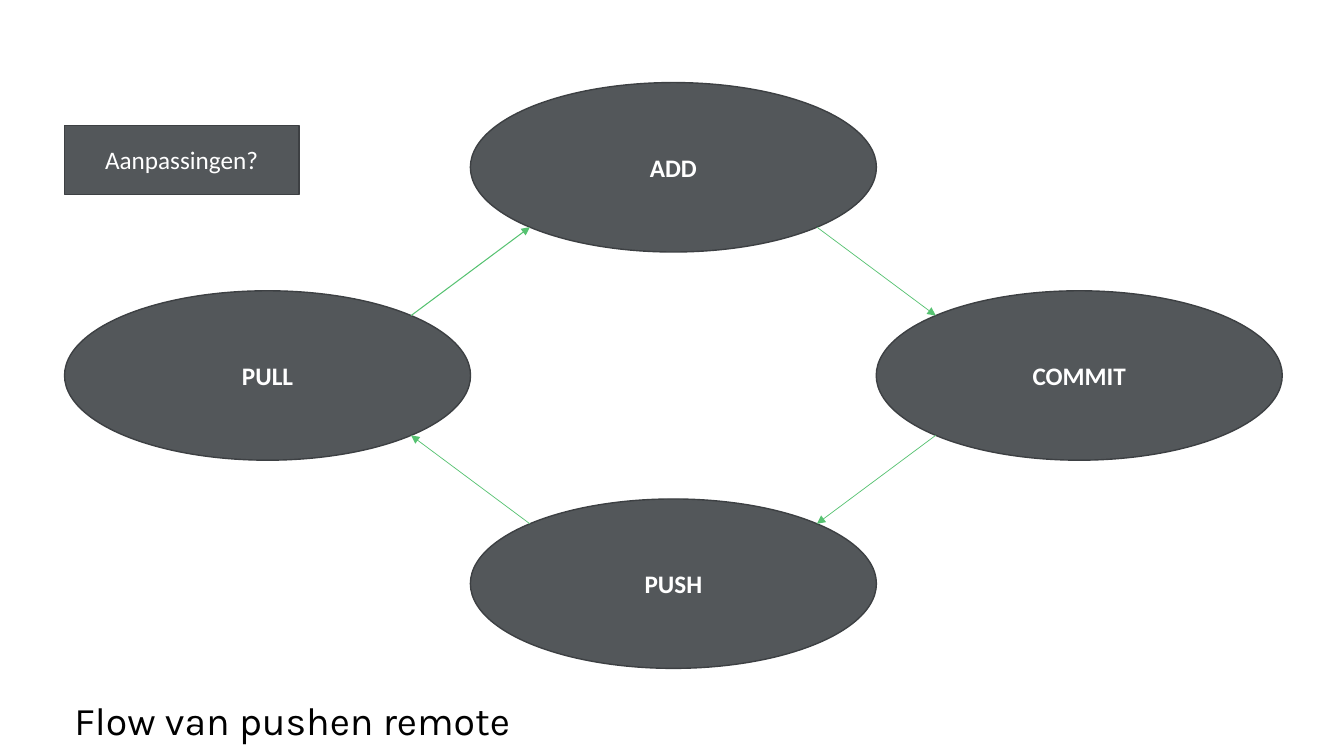
import math
from dataclasses import dataclass

import pptx
import pptx.dml.color
import pptx.enum.shapes
import pptx.enum.text
import pptx.oxml
import pptx.oxml.ns
import pptx.presentation
import pptx.shapes.autoshape
import pptx.slide
import pptx.util

Pt = pptx.util.Pt
RGBColor = pptx.dml.color.RGBColor
Align = pptx.enum.text.PP_ALIGN
Shapes = pptx.enum.shapes.MSO_SHAPE

SLATE = RGBColor(0x53, 0x57, 0x5A)
SLATE_EDGE = RGBColor(0x3D, 0x40, 0x43)
GREEN = RGBColor(0x56, 0xC2, 0x71)
WHITE = RGBColor(0xFF, 0xFF, 0xFF)
BLACK = RGBColor(0, 0, 0)

LEFT, TOP = 46.1, 59
COLUMN_STEP, ROW_STEP = 289.9, 148.7
STEP_WIDTH, STEP_HEIGHT = 290, 121


@dataclass(frozen=True)
class Step:
    label: str
    column: int
    row: int

    @property
    def left(self) -> float:
        return LEFT + self.column * COLUMN_STEP

    @property
    def top(self) -> float:
        return TOP + self.row * ROW_STEP

    def edge_towards(self, other: "Step") -> tuple[float, float]:
        reach = math.sqrt(0.5) / 2
        x = self.left + STEP_WIDTH * (0.5 + reach * (other.column - self.column))
        y = self.top + STEP_HEIGHT * (0.5 + reach * (other.row - self.row))
        return x, y


STEPS = [
    Step("ADD", 1, 0),
    Step("COMMIT", 2, 1),
    Step("PUSH", 1, 2),
    Step("PULL", 0, 1),
]
ARROW_WIDTHS = [0.5, 0.5, 0.5, 0.75]


def write_text(
    shape: pptx.shapes.autoshape.Shape,
    text: str,
    *,
    size: float = 18,
    font: str = "Calibri",
    color: RGBColor = WHITE,
    bold: bool = False,
    align: Align = Align.LEFT,
    anchor: pptx.enum.text.MSO_ANCHOR = pptx.enum.text.MSO_ANCHOR.TOP,
    wrap: bool = True,
    line_spacing: float = 1.0,
) -> None:
    frame = shape.text_frame
    frame.word_wrap = wrap
    frame.vertical_anchor = anchor
    paragraph = frame.paragraphs[0]
    paragraph.alignment = align
    paragraph.line_spacing = line_spacing
    run = paragraph.add_run()
    run.text = text
    run.font.size = Pt(size)
    run.font.name = font
    run.font.bold = bold
    run.font.color.rgb = color


def add_slate_shape(
    slide: pptx.slide.Slide, kind: Shapes, left: float, top: float, width: float, height: float
) -> pptx.shapes.autoshape.Shape:
    shape = slide.shapes.add_shape(kind, Pt(left), Pt(top), Pt(width), Pt(height))
    shape.shadow.inherit = False
    shape.fill.solid()
    shape.fill.fore_color.rgb = SLATE
    shape.line.color.rgb = SLATE_EDGE
    shape.line.width = Pt(1)
    return shape


def add_step(slide: pptx.slide.Slide, step: Step) -> None:
    shape = add_slate_shape(slide, Shapes.OVAL, step.left, step.top, STEP_WIDTH, STEP_HEIGHT)
    write_text(
        shape,
        step.label,
        bold=True,
        align=Align.CENTER,
        anchor=pptx.enum.text.MSO_ANCHOR.MIDDLE,
    )


def add_arrow(slide: pptx.slide.Slide, start: Step, end: Step, width: float) -> None:
    points = [Pt(value) for value in start.edge_towards(end) + end.edge_towards(start)]
    arrow = slide.shapes.add_connector(pptx.enum.shapes.MSO_CONNECTOR.STRAIGHT, *points)
    arrow.line.color.rgb = GREEN
    arrow.line.width = Pt(width)
    head = pptx.oxml.parse_xml(
        f'<a:tailEnd {pptx.oxml.ns.nsdecls("a")} type="triangle"/>'
    )
    arrow.line._get_or_add_ln().append(head)
    effects = pptx.oxml.parse_xml(f'<a:effectLst {pptx.oxml.ns.nsdecls("a")}/>')
    arrow._element.spPr.append(effects)


def main() -> None:
    presentation = pptx.Presentation()
    presentation.slide_width = Pt(960)
    presentation.slide_height = Pt(540)
    slide = presentation.slides.add_slide(presentation.slide_layouts[6])

    for step in STEPS:
        add_step(slide, step)
    for start, end, width in zip(STEPS, STEPS[1:] + STEPS[:1], ARROW_WIDTHS):
        add_arrow(slide, start, end, width)

    title = slide.shapes.add_textbox(Pt(LEFT), Pt(497.5), Pt(869), Pt(33))
    write_text(
        title, "Flow van pushen remote", size=28, font="Karla", color=BLACK, line_spacing=0.9
    )

    add_slate_shape(slide, Shapes.RECTANGLE, LEFT, 89.6, 167.5, 49.3)
    question = slide.shapes.add_textbox(Pt(68), Pt(99.6), Pt(125), Pt(29))
    write_text(question, "Aanpassingen?", wrap=False)

    presentation.save("out.pptx")


if __name__ == "__main__":
    main()
